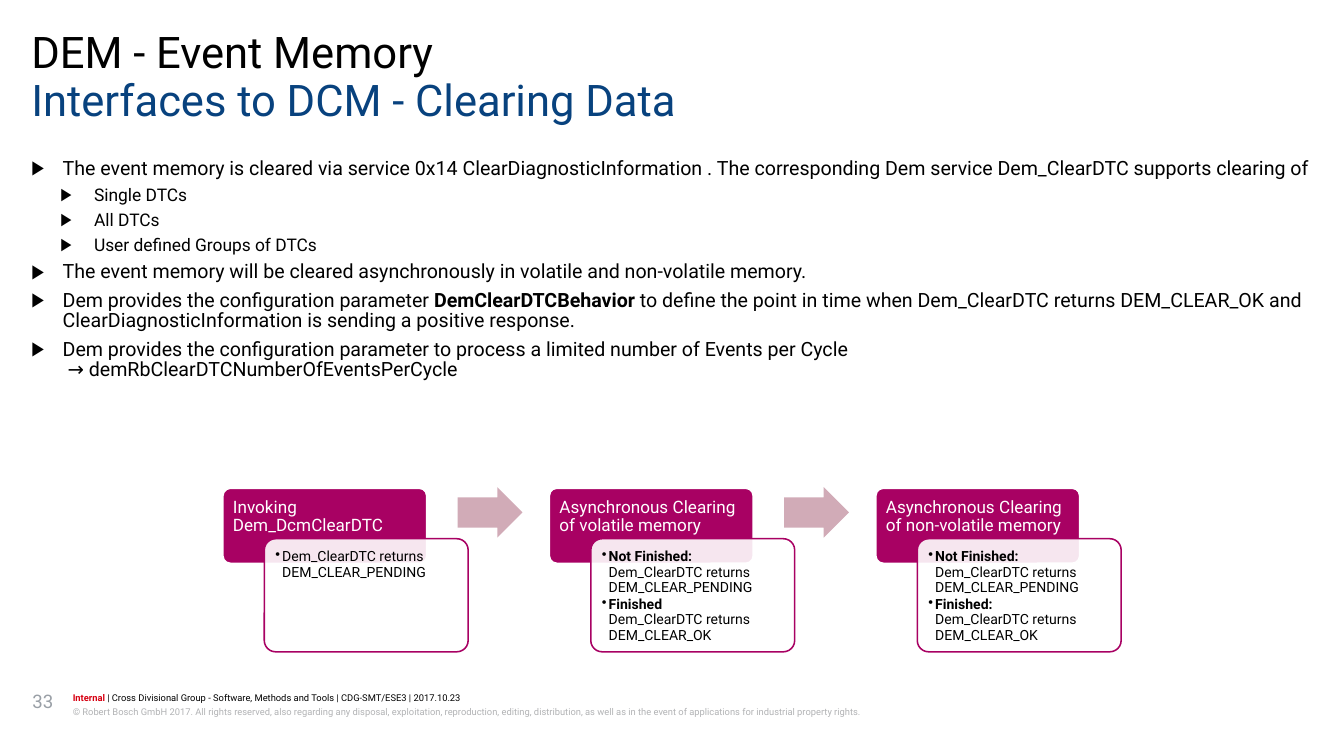
from lxml.etree import SubElement
from pptx import Presentation
from pptx.dml.color import RGBColor
from pptx.enum.shapes import MSO_SHAPE
from pptx.enum.text import MSO_ANCHOR, MSO_AUTO_SIZE, PP_ALIGN
from pptx.oxml.ns import qn
from pptx.util import Inches, Pt

FONT = "Roboto"
BLACK, WHITE, MAGENTA = "000000", "FFFFFF", "A80163"


def rgb(color):
    return RGBColor.from_string(color)


def write(paragraph, text, size=12, color=BLACK, bold=False, spacing=1.0,
          before=0, after=0, bullet=None, indent=0, hanging=0, level=0):
    """Fill a paragraph; text is a string or a list of (text, bold) parts."""
    paragraph.level = level
    paragraph.alignment = PP_ALIGN.LEFT
    paragraph.line_spacing = spacing
    paragraph.space_before, paragraph.space_after = Pt(before), Pt(after)
    properties = paragraph._p.get_or_add_pPr()
    properties.set("marL", str(Inches(indent)))
    properties.set("indent", str(-Inches(hanging)))
    if bullet:
        SubElement(properties, qn("a:buChar")).set("char", bullet)
    else:
        SubElement(properties, qn("a:buNone"))
    parts = [(text, bold)] if isinstance(text, str) else text
    for part, part_bold in parts:
        for number, line in enumerate(part.split("\n")):
            if number:
                paragraph.add_line_break()
            if not line:
                continue
            run = paragraph.add_run()
            run.text = line
            run.font.name, run.font.size = FONT, Pt(size)
            run.font.bold = part_bold
            run.font.color.rgb = rgb(color)


class SlideBuilder:
    def __init__(self, slide):
        self.slide = slide

    def fill_frame(self, shape, paragraphs, insets=(0, 0, 0, 0), wrap=True):
        frame = shape.text_frame
        frame.auto_size = MSO_AUTO_SIZE.NONE
        frame.word_wrap = wrap
        frame.vertical_anchor = MSO_ANCHOR.TOP
        (frame.margin_left, frame.margin_top,
         frame.margin_right, frame.margin_bottom) = map(Inches, insets)
        for number, (text, style) in enumerate(paragraphs):
            paragraph = frame.add_paragraph() if number else frame.paragraphs[0]
            write(paragraph, text, **{**style, **({} if number else {"before": 0})})

    def placeholder(self, index, box, paragraphs):
        shape = self.slide.placeholders[index]
        shape.left, shape.top, shape.width, shape.height = map(Inches, box)
        self.fill_frame(shape, paragraphs)

    def text(self, box, text, wrap=True, **style):
        shape = self.slide.shapes.add_textbox(*map(Inches, box))
        self.fill_frame(shape, [(text, style)], wrap=wrap)

    def shape(self, kind, box, fill, adjustments, line=None, opacity=None):
        shape = self.slide.shapes.add_shape(kind, *map(Inches, box))
        shape.shadow.inherit = False
        for number, value in enumerate(adjustments):
            shape.adjustments[number] = value
        shape.fill.solid()
        shape.fill.fore_color.rgb = rgb(fill)
        if opacity:
            color = shape._element.spPr.find(qn("a:solidFill"))[0]
            SubElement(color, qn("a:alpha")).set("val", str(opacity * 1000))
        if line:
            shape.line.color.rgb = rgb(line)
            shape.line.width = Pt(1)
        else:
            shape.line.fill.background()
        return shape

    def step(self, left, heading, details):
        header = self.shape(MSO_SHAPE.ROUNDED_RECTANGLE, (left, 4.36, 1.82, 0.67),
                            MAGENTA, [0.1], line=WHITE)
        self.fill_frame(header, [(heading, dict(size=11, color=WHITE, spacing=0.9))],
                        (0.07, 0.07, 0.07, 0.05))
        card = self.shape(MSO_SHAPE.ROUNDED_RECTANGLE, (left + 0.37, 4.81, 1.82, 1.01),
                          WHITE, [0.1], line=MAGENTA, opacity=90)
        style = dict(size=9, spacing=0.9, after=1.5, bullet="•",
                     indent=0.06, hanging=0.06, level=1)
        self.fill_frame(card, [(detail, style) for detail in details], (0.07,) * 4)

    def arrow(self, left):
        self.shape(MSO_SHAPE.RIGHT_ARROW, (left, 4.35, 0.58, 0.45), "D1ABB7", [0.6, 0.5])


def main():
    presentation = Presentation()
    presentation.slide_width, presentation.slide_height = Inches(12), Inches(6.75)
    builder = SlideBuilder(presentation.slides.add_slide(presentation.slide_layouts[1]))

    # Footer
    builder.text((0.65, 6.17, 10.01, 0.12),
                 [("Internal ", True)], size=6, color="D70012", spacing=1.07)
    footer = builder.slide.shapes[-1].text_frame.paragraphs[0]
    write(footer, "| Cross Divisional Group - Software, Methods and Tools"
          " | CDG-SMT/ESE3 | 2017.10.23", size=6, spacing=1.07)
    builder.text((0.65, 6.3, 10.01, 0.24),
                 "© Robert Bosch GmbH 2017. All rights reserved, also regarding any disposal, "
                 "exploitation, reproduction, editing, distribution, as well as in the event of "
                 "applications for industrial property rights.",
                 size=6, color="B2B3B5", spacing=1.07)
    builder.text((0.29, 6.16, 0.32, 0.45), "33", wrap=False, color="999FA6")

    # Headings
    builder.text((0.28, 0.28, 11.43, 0.42), "DEM - Event Memory", size=28, spacing=0.89)
    builder.placeholder(0, (0.28, 0.71, 11.43, 0.42), [
        ("Interfaces to DCM - Clearing Data", dict(size=28, color="08427E", spacing=0.89))])

    # Bullet list
    main_item = dict(size=12.6, spacing=0.87, before=5, bullet="▶", indent=0.28, hanging=0.28)
    sub_item = dict(size=11.2, spacing=0.83, before=5, bullet="▶",
                    indent=0.56, hanging=0.3, level=1)
    builder.placeholder(1, (0.28, 1.42, 11.43, 2.58), [
        ("The event memory is cleared via service 0x14 ClearDiagnosticInformation . "
         "The corresponding Dem service Dem_ClearDTC supports clearing of", main_item),
        ("Single DTCs", sub_item),
        ("All DTCs", sub_item),
        ("User defined Groups of DTCs", sub_item),
        ("The event memory will be cleared asynchronously in volatile and "
         "non-volatile memory.", main_item),
        ([("Dem provides the configuration parameter ", False),
          ("DemClearDTCBehavior", True),
          (" to define the point in time when Dem_ClearDTC returns DEM_CLEAR_OK and "
           "ClearDiagnosticInformation is sending a positive response.", False)], main_item),
        ("Dem provides the configuration parameter to process a limited number of "
         "Events per Cycle\n → demRbClearDTCNumberOfEventsPerCycle", main_item),
    ])

    # Process steps, evenly spaced with an arrow between neighbours
    pending = "Dem_ClearDTC returns DEM_CLEAR_PENDING"
    finished = "Dem_ClearDTC returns\nDEM_CLEAR_OK"
    not_finished = [("Not Finished:\n", True), (pending, False)]
    steps = [
        ("Invoking Dem_DcmClearDTC", [pending]),
        ("Asynchronous Clearing of volatile memory",
         [not_finished, [("Finished\n", True), (finished, False)]]),
        ("Asynchronous Clearing of non-volatile memory",
         [not_finished, [("Finished:\n", True), (finished, False)]]),
    ]
    first_left, pitch = 1.99, 2.915
    for number, (heading, details) in enumerate(steps):
        left = first_left + number * pitch
        if number:
            builder.arrow(left - 0.82)
        builder.step(left, heading, details)

    presentation.save("out.pptx")


if __name__ == "__main__":
    main()
